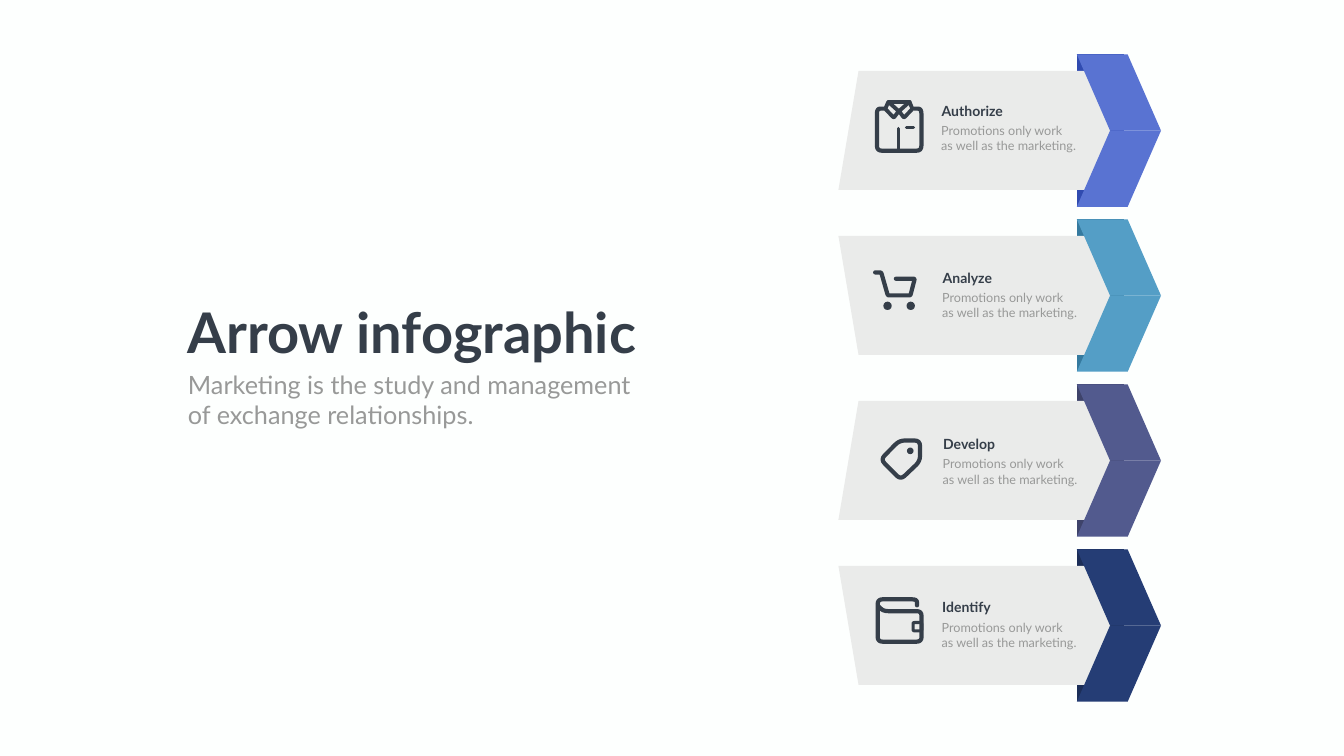
import math
from dataclasses import dataclass, field

import pptx
import pptx.dml.color
import pptx.enum.shapes
import pptx.oxml.ns
import pptx.util
from lxml import etree

Pt = pptx.util.Pt
Point = tuple[float, float]


@dataclass(frozen=True)
class Theme:
    font: str = "Lato"
    back: str = "FDFFFE"
    card: str = "EAEBEA"
    ink: str = "353E49"
    grey: str = "989998"
    title: float = 80
    lead: float = 36
    head: float = 20
    body: float = 18


@dataclass(frozen=True)
class Stroke:
    points: list[Point]
    bend: float = 0
    closed: bool = False
    width: float = 6


@dataclass(frozen=True)
class Dot:
    x: float
    y: float
    size: float


@dataclass(frozen=True)
class Icon:
    strokes: list[Stroke]
    dots: list[Dot] = field(default_factory=list)


@dataclass(frozen=True)
class Step:
    name: str
    front: str
    fold: str
    icon: Icon
    left: float
    top: float  # text offset below the top of the row


THEME = Theme()
FIRST, PITCH = 77.8, 235.7
ICON_X = 1248
CARD_X, CARD_TOP, CARD_H, SLANT = 1197.4, 23.4, 170.2, 28.8
BAND_X, NOTCH, EDGE, TIP, HALF = 1538, 1585.4, 1610.6, 1658.2, 108.8
FOLD_X, FOLD_H = 1604.9, 216.7
NOTE = ["Promotions only work", "as well as the marketing."]


def lapel(side: int) -> Stroke:
    shape = [(15.1, 67.7), (19.4, 77.8), (7.2, 90.4), (0.3, 81)]
    return Stroke([(35.8 + side * x, y) for x, y in shape], 2, True, 5.5)


SHIRT = Icon([
    Stroke([(14, 77.4), (4.5, 77.4), (4.5, 137.5), (68, 137.5), (68, 77.4), (58, 77.4)], 7),
    Stroke([(21, 67.7), (51, 67.7)]),
    lapel(1),
    lapel(-1),
    Stroke([(35.8, 105.8), (35.8, 135)], width=4.3),
    Stroke([(46.6, 104.4), (56.7, 104.4)], width=4.3),
])
CART = Icon(
    [Stroke([(1.9, 75.7), (10.6, 75.7), (20, 108.5), (52.3, 108.5), (58.5, 84.7), (31.5, 84.7)], 2)],
    [Dot(19.6, 123.4, 12), Dot(52.7, 123.4, 12)],
)
TAG = Icon(
    [Stroke([(36.5, 80.1), (66, 80.1), (66, 109.7), (38.3, 136), (9.8, 107.2)], 8, True)],
    [Dot(52, 94.9, 9.5)],
)
WALLET = Icon([
    Stroke([(61.7, 79.9), (61.7, 71.3), (5.5, 71.3), (5.5, 131.8),
            (68.2, 131.8), (68.2, 88.2), (13.5, 88.2), (5.5, 80)], 7),
    Stroke([(56, 104.4), (68.5, 104.4), (68.5, 116.3), (56, 116.3)], 2, True, 4.3),
])

STEPS = [
    Step("Authorize", "5973D2", "304BB0", SHIRT, 1337.8, 64.8),
    Step("Analyze", "549EC6", "357A9F", CART, 1339.2, 67.4),
    Step("Develop", "525A8E", "3E436A", TAG, 1339.9, 69.3),
    Step("Identify", "253D75", "1C2E58", WALLET, 1338.5, 67),
]


def rgb(code: str) -> pptx.dml.color.RGBColor:
    return pptx.dml.color.RGBColor.from_string(code)


def soften(stroke: Stroke) -> list[Point]:
    """Round each corner of a stroke with a short quadratic curve."""
    pts, out = stroke.points, []
    last = len(pts) - 1
    for i, mid in enumerate(pts):
        if not stroke.bend or (not stroke.closed and i in (0, last)):
            out.append(mid)
            continue
        ends = []
        for other in (pts[i - 1], pts[(i + 1) % len(pts)]):
            gap = math.dist(mid, other)
            part = min(stroke.bend, gap / 2) / gap
            ends.append([m + (o - m) * part for m, o in zip(mid, other)])
        for t in (0, 0.25, 0.5, 0.75, 1):
            out.append(tuple((1 - t) ** 2 * a + 2 * t * (1 - t) * m + t * t * b
                             for a, m, b in zip(ends[0], mid, ends[1])))
    return out


def outline(slide, points: list[Point], closed: bool = True):
    pts = [(Pt(x), Pt(y)) for x, y in points]
    pen = slide.shapes.build_freeform(*pts[0], scale=1.0)
    pen.add_line_segments(pts[1:], close=closed)
    shape = pen.convert_to_shape()
    shape.shadow.inherit = False
    return shape


def paint(shape, color: str) -> None:
    shape.fill.solid()
    shape.fill.fore_color.rgb = rgb(color)
    shape.line.fill.background()


def draw_stroke(slide, stroke: Stroke, top: float) -> None:
    pts = [(ICON_X + x, top + y) for x, y in soften(stroke)]
    shape = outline(slide, pts, stroke.closed)
    shape.fill.background()
    shape.line.color.rgb = rgb(THEME.ink)
    shape.line.width = Pt(stroke.width)
    line = shape._element.spPr.find(pptx.oxml.ns.qn("a:ln"))
    line.set("cap", "rnd")
    etree.SubElement(line, pptx.oxml.ns.qn("a:round"))


def draw_icon(slide, icon: Icon, top: float) -> None:
    for stroke in icon.strokes:
        draw_stroke(slide, stroke, top)
    for dot in icon.dots:
        oval = slide.shapes.add_shape(
            pptx.enum.shapes.MSO_SHAPE.OVAL, Pt(ICON_X + dot.x - dot.size / 2),
            Pt(top + dot.y - dot.size / 2), Pt(dot.size), Pt(dot.size))
        oval.shadow.inherit = False
        paint(oval, THEME.ink)


def write(slide, lines: list[str], box: tuple[float, float, float, float],
          size: float, color: str, bold: bool = False, wrap: bool = True) -> None:
    frame = slide.shapes.add_textbox(*map(Pt, box)).text_frame
    frame.word_wrap = wrap
    frame.text = "\n".join(lines)
    for para in frame.paragraphs:
        font = para.font
        font.name, font.size, font.bold = THEME.font, Pt(size), bold
        font.color.rgb = rgb(color)


def draw_step(slide, step: Step, row: int) -> None:
    top = FIRST + row * PITCH
    foot = top + FOLD_H
    paint(outline(slide, [(BAND_X, top), (FOLD_X, top), (FOLD_X, foot), (BAND_X, foot)]), step.fold)

    high, low = top + CARD_TOP, top + CARD_TOP + CARD_H
    shift = (SLANT, 0) if row % 2 == 0 else (0, SLANT)
    paint(outline(slide, [(CARD_X + shift[0], high), (NOTCH, high),
                          (NOTCH, low), (CARD_X + shift[1], low)]), THEME.card)

    mid = top + HALF
    for end in (top, mid + HALF):
        paint(outline(slide, [(TIP, mid), (NOTCH, mid), (BAND_X, end), (EDGE, end)]), step.front)

    draw_icon(slide, step.icon, top)
    y = top + step.top
    write(slide, [step.name], (step.left, y, 131.8, 31.7), THEME.head, THEME.ink, bold=True)
    write(slide, NOTE, (step.left - 0.7, y + 29.9, 234, 51.1), THEME.body, THEME.grey)


def main() -> None:
    deck = pptx.Presentation()
    deck.slide_width, deck.slide_height = Pt(1919.52), Pt(1080)
    slide = deck.slides.add_slide(deck.slide_layouts[6])
    slide.background.fill.solid()
    slide.background.fill.fore_color.rgb = rgb(THEME.back)
    for row, step in enumerate(STEPS):
        draw_step(slide, step, row)
    write(slide, ["Arrow infographic"], (260.6, 421.2, 672.5, 104.4),
          THEME.title, THEME.ink, bold=True, wrap=False)
    write(slide, ["Marketing is the study and management", "of exchange relationships."],
          (261.4, 523.4, 701.3, 94.3), THEME.lead, THEME.grey)
    deck.save("out.pptx")


if __name__ == "__main__":
    main()
